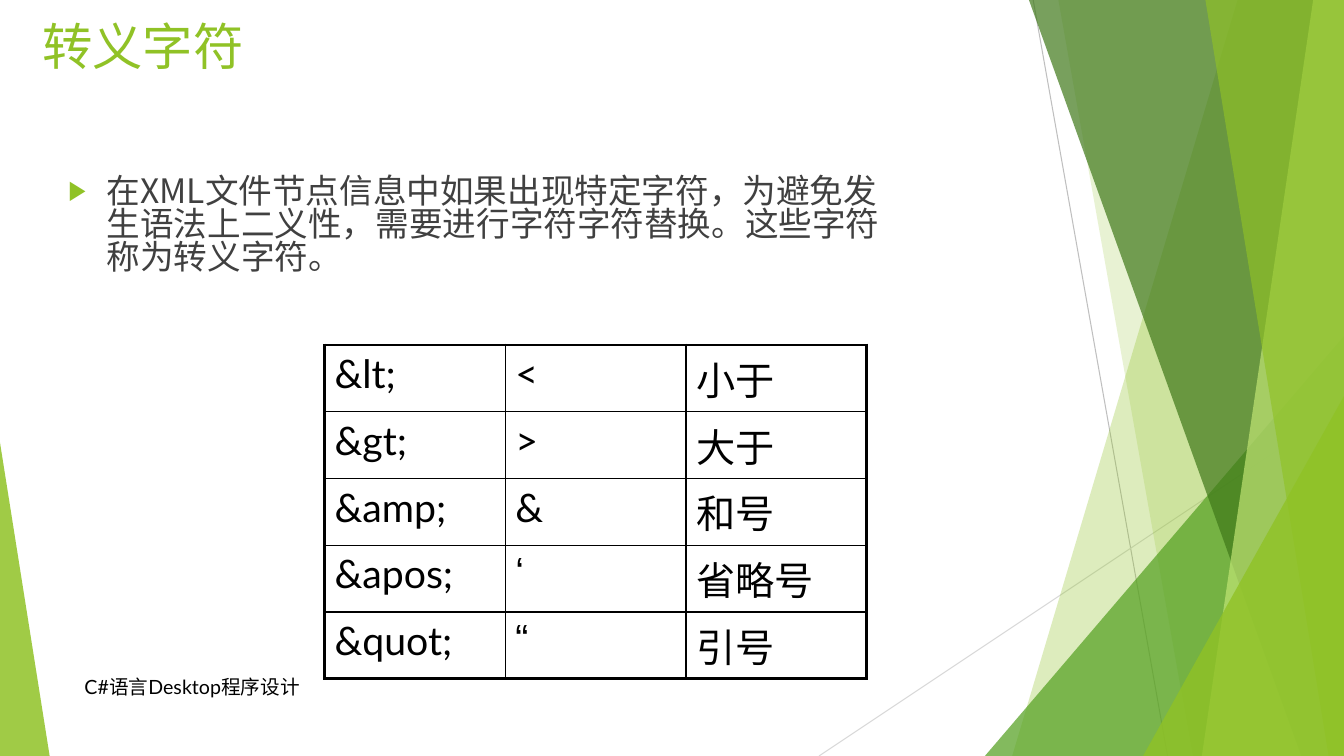
from dataclasses import dataclass

import lxml.etree
import pptx
import pptx.dml.color
import pptx.enum.shapes
import pptx.enum.text
import pptx.oxml
import pptx.oxml.ns
import pptx.util

Pt = pptx.util.Pt
qn = pptx.oxml.ns.qn
Element = lxml.etree.SubElement

WIDTH, HEIGHT = 960, 540
LATIN, CHINESE, QUOTES = "Lato", "Noto Sans CJK SC", "Arial"
GREEN, BLACK, GREY = "90C226", "000000", "404040"
THICK, THIN = 2.25, 1


@dataclass
class Ray:
    start: tuple[float, float]
    end: tuple[float, float]
    color: str


@dataclass
class Facet:
    """A band from the top edge to the bottom, filled to the right edge."""
    top_x: float
    bottom_x: float
    color: str
    opacity: int


@dataclass
class Wedge:
    """A triangle standing on the bottom edge, with its peak at one side."""
    left: float
    top: float
    width: float
    peak: int
    color: str
    opacity: int


@dataclass
class Label:
    text: str
    left: float
    top: float
    width: float
    height: float
    size: float
    color: str
    font: str = LATIN
    spacing: float = 1
    inset_top: float = 3.6
    middle: bool = False
    bullet: bool = False


RAYS = [
    Ray((738, 0), (834, HEIGHT), "BFBFBF"),
    Ray((WIDTH, 290), (585, HEIGHT), "D9D9D9"),
]
DECORATION = [
    Facet(884, 723, GREEN, 30),
    Facet(756, 852, GREEN, 20),
    Wedge(703.5, 240, 256.5, 1, "54A021", 72),
    Facet(735, 929.5, "3F7819", 70),
    Facet(938, 858.5, "C0E474", 70),
    Facet(861, 949, GREEN, 65),
    Wedge(816.5, 283, 143.5, 1, GREEN, 80),
    Wedge(0, 316, 35.5, 0, GREEN, 85),
]
LABELS = [
    Label("C#语言Desktop程序设计", 53.3, 476, 496, 29, 14, BLACK, middle=True),
    Label("转义字符", 23, 13, 171.5, 58, 36, GREEN, spacing=0.88),
    Label("在XML文件节点信息中如果出现特定字符，为避免发生语法上二义性，"
          "需要进行字符字符替换。这些字符称为转义字符。",
          41.8, 120.2, 612, 94.3, 24, GREY, font=CHINESE,
          spacing=0.82, inset_top=6.2, bullet=True),
]
ESCAPES = [
    ("&lt;", "<", "小于"),
    ("&gt;", ">", "大于"),
    ("&amp;", "&", "和号"),
    ("&apos;", "‘", "省略号"),
    ("&quot;", "“", "引号"),
]


def rgb(color: str) -> pptx.dml.color.RGBColor:
    return pptx.dml.color.RGBColor.from_string(color)


def paint(shape, color: str, opacity: int) -> None:
    shape.shadow.inherit = False
    shape.line.fill.background()
    shape.fill.solid()
    shape.fill.fore_color.rgb = rgb(color)
    tint = shape.fill._xPr.find(qn("a:solidFill"))[0]
    Element(tint, qn("a:alpha"), val=str(opacity * 1000))


def draw_ray(page, ray: Ray) -> None:
    line = page.shapes.add_connector(
        pptx.enum.shapes.MSO_CONNECTOR.STRAIGHT,
        *(Pt(value) for value in ray.start + ray.end))
    line.line.color.rgb = rgb(ray.color)
    line.line.width = Pt(0.75)
    Element(line._element.spPr, qn("a:effectLst"))


def draw_facet(page, facet: Facet) -> None:
    corners = [(WIDTH, 0), (WIDTH, HEIGHT), (facet.bottom_x, HEIGHT)]
    outline = page.shapes.build_freeform(Pt(facet.top_x), 0)
    outline.add_line_segments([(Pt(x), Pt(y)) for x, y in corners], close=True)
    paint(outline.convert_to_shape(), facet.color, facet.opacity)


def draw_wedge(page, wedge: Wedge) -> None:
    shape = page.shapes.add_shape(
        pptx.enum.shapes.MSO_SHAPE.ISOSCELES_TRIANGLE, Pt(wedge.left),
        Pt(wedge.top), Pt(wedge.width), Pt(HEIGHT - wedge.top))
    shape.adjustments[0] = wedge.peak
    paint(shape, wedge.color, wedge.opacity)


def add_span(para, text: str, size: float, color: str, font: str) -> None:
    span = para.add_run()
    span.text = text
    span.font.size = Pt(size)
    span.font.color.rgb = rgb(color)
    span.font.name = font
    east_asian = QUOTES if font == QUOTES else CHINESE
    Element(span._r.get_or_add_rPr(), qn("a:ea"), typeface=east_asian)


def add_bullet(para) -> None:
    properties = para._p.get_or_add_pPr()
    properties.set("marL", str(Pt(27.4)))
    properties.set("indent", str(-Pt(27.4)))
    tint = Element(properties, qn("a:buClr"))
    Element(tint, qn("a:srgbClr"), val=GREEN)
    Element(properties, qn("a:buSzPct"), val="80000")
    Element(properties, qn("a:buFont"), typeface="Arial")
    Element(properties, qn("a:buChar"), char="▶")


def draw_label(page, label: Label) -> None:
    box = page.shapes.add_textbox(
        Pt(label.left), Pt(label.top), Pt(label.width), Pt(label.height))
    frame = box.text_frame
    frame.word_wrap = True
    frame.margin_top = Pt(label.inset_top)
    if label.middle:
        frame.vertical_anchor = pptx.enum.text.MSO_ANCHOR.MIDDLE
    para = frame.paragraphs[0]
    if label.bullet:
        add_bullet(para)
    para.line_spacing = label.spacing
    add_span(para, label.text, label.size, label.color, label.font)


def add_border(cell, side: str, width: float) -> None:
    line = Element(cell._tc.get_or_add_tcPr(), qn(f"a:ln{side}"),
                   w=str(Pt(width)))
    fill = Element(line, qn("a:solidFill"))
    Element(fill, qn("a:srgbClr"), val=BLACK)


def draw_table(page) -> None:
    rows, columns = len(ESCAPES), len(ESCAPES[0])
    frame = page.shapes.add_table(
        rows, columns, Pt(231.8), Pt(246.4), Pt(387.3), Pt(47.6 * rows))
    table = frame.table
    table.first_row = table.horz_banding = False
    for column in table.columns:
        column.width = Pt(129.1)
    for row, texts in enumerate(ESCAPES):
        table.rows[row].height = Pt(47.6)
        for column, text in enumerate(texts):
            cell = table.cell(row, column)
            outer = {"L": column == 0, "R": column == columns - 1,
                     "T": row == 0, "B": row == rows - 1}
            for side, is_outer in outer.items():
                add_border(cell, side, THICK if is_outer else THIN)
            cell.fill.background()
            font = QUOTES if text in "‘“" else LATIN
            add_span(cell.text_frame.paragraphs[0], text, 28, BLACK, font)


def main() -> None:
    deck = pptx.Presentation()
    deck.slide_width, deck.slide_height = Pt(WIDTH), Pt(HEIGHT)
    page = deck.slides.add_slide(deck.slide_layouts[6])

    # Background decoration
    for ray in RAYS:
        draw_ray(page, ray)
    for part in DECORATION:
        if isinstance(part, Facet):
            draw_facet(page, part)
        else:
            draw_wedge(page, part)

    # Content
    draw_table(page)
    for label in LABELS:
        draw_label(page, label)

    deck.save("out.pptx")


if __name__ == "__main__":
    main()
